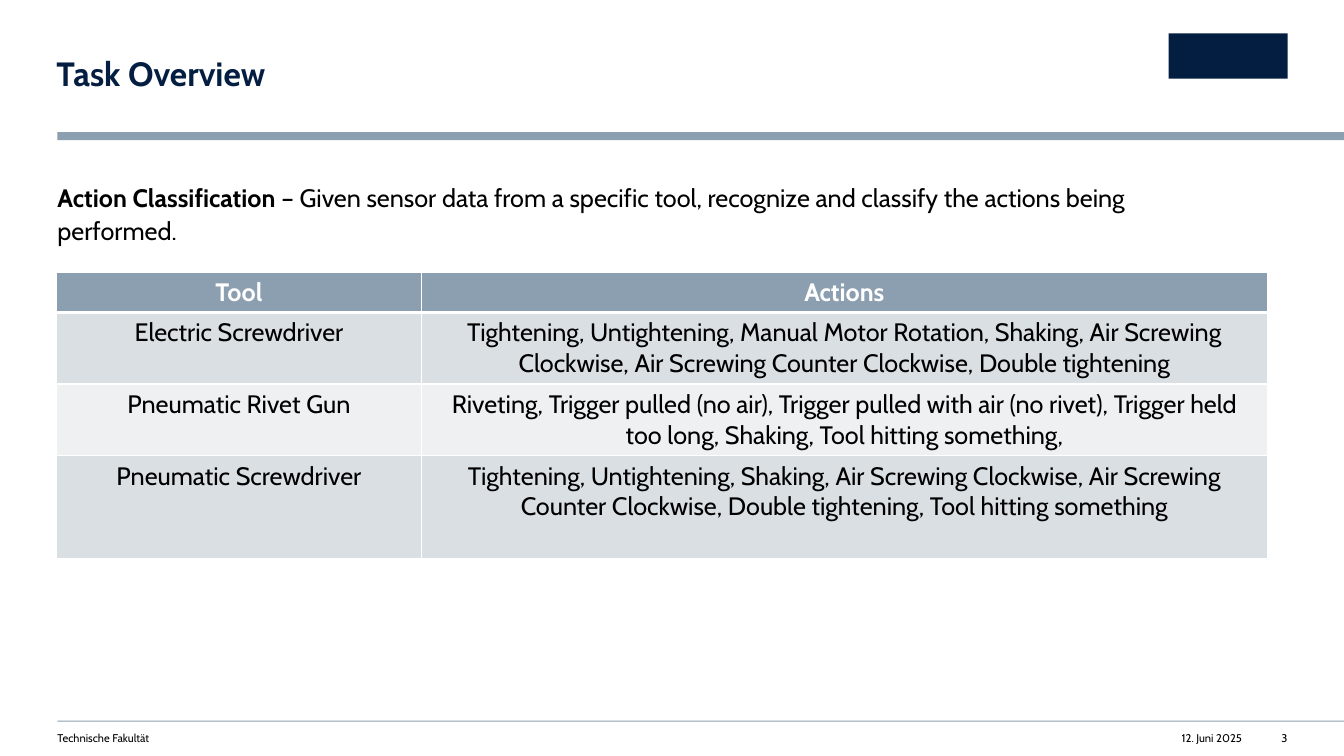
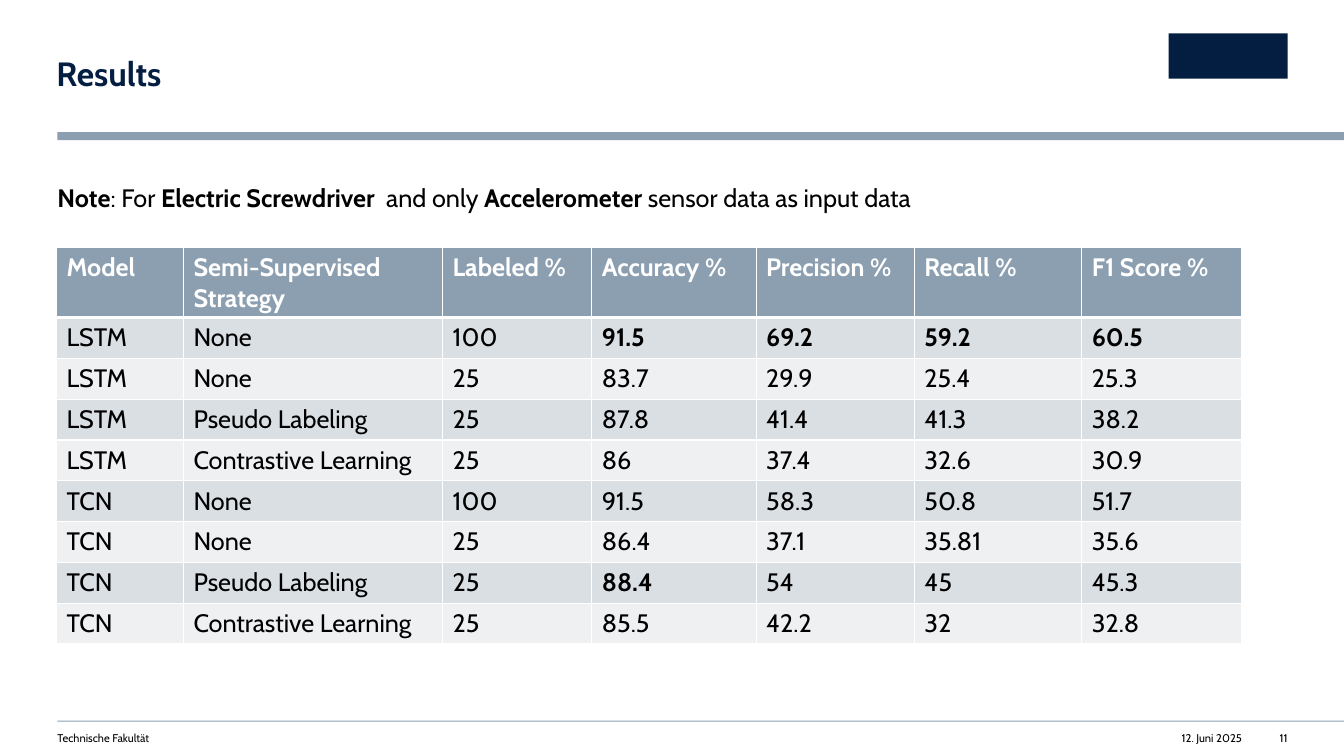
from dataclasses import dataclass

from lxml.etree import SubElement
from pptx import Presentation
from pptx.dml.color import RGBColor as Rgb
from pptx.enum.shapes import MSO_SHAPE as Shape
from pptx.enum.text import PP_ALIGN as Align
from pptx.oxml.ns import qn
from pptx.util import Inches, Pt


@dataclass(frozen=True)
class Theme:
    font: str = "Cabin"
    navy: str = "041E42"
    steel: str = "8C9FB1"
    dark: str = "DADFE4"
    light: str = "EEF0F2"
    black: str = "000000"
    white: str = "FFFFFF"
    title: int = 24
    body: int = 18
    foot: int = 8


theme = Theme()


def write(para, text, size, color, bold=False, align=Align.LEFT):
    para.alignment = align
    font = para.font
    font.name, font.size, font.bold = theme.font, Pt(size), bold
    font.color.rgb = Rgb.from_string(color)
    for i, part in enumerate(text.split("*")):
        if part:
            run = para.add_run()
            run.text = part
            if i % 2:
                run.font.bold = True


def add_text(slide, box, text, size, color, **style):
    frame = slide.shapes.add_textbox(*map(Inches, box)).text_frame
    frame.word_wrap = True
    frame.margin_left = frame.margin_right = 0
    frame.margin_top = frame.margin_bottom = 0
    para = frame.paragraphs[0]
    write(para, text, size, color, **style)
    return para


pages = [
    dict(
        title="Task Overview", number="3",
        intro="*Action Classification *– Given sensor data from a specific tool, "
              "recognize and classify the actions being performed.",
        top=2.7, align=Align.CENTER,
        cols=[3.62, 8.39], heights=[0.4, 0.71, 0.71, 1.02],
        rows=[
            ["Tool", "Actions"],
            ["Electric Screwdriver",
             "Tightening, Untightening, Manual Motor Rotation, Shaking, Air Screwing "
             "Clockwise, Air Screwing Counter Clockwise, Double tightening"],
            ["Pneumatic Rivet Gun",
             "Riveting, Trigger pulled (no air), Trigger pulled with air (no rivet), "
             "Trigger held too long, Shaking, Tool hitting something,"],
            ["Pneumatic Screwdriver",
             "Tightening, Untightening, Shaking, Air Screwing Clockwise, Air Screwing "
             "Counter Clockwise, Double tightening, Tool hitting something"],
        ],
    ),
    dict(
        title="Results", number="11",
        intro="*Note*: For *Electric Screwdriver * and only *Accelerometer* "
              "sensor data as input data",
        top=2.45, align=Align.LEFT,
        cols=[1.26, 2.57, 1.48, 1.63, 1.57, 1.66, 1.59],
        heights=[0.7] + [0.405] * 8,
        rows=[
            ["Model", "Semi-Supervised Strategy", "Labeled %", "Accuracy %",
             "Precision %", "Recall %", "F1 Score %"],
            ["LSTM", "None", "100", "*91.5*", "*69.2*", "*59.2*", "*60.5*"],
            ["LSTM", "None", "25", "83.7", "29.9", "25.4", "25.3"],
            ["LSTM", "Pseudo Labeling", "25", "87.8", "41.4", "41.3", "38.2"],
            ["LSTM", "Contrastive Learning", "25", "86", "37.4", "32.6", "30.9"],
            ["TCN", "None", "100", "91.5", "58.3", "50.8", "51.7"],
            ["TCN", "None", "25", "86.4", "37.1", "35.81", "35.6"],
            ["TCN", "Pseudo Labeling", "25", "*88.4*", "54", "45", "45.3"],
            ["TCN", "Contrastive Learning", "25", "85.5", "42.2", "32", "32.8"],
        ],
    ),
]

bars = [
    ((0.57, 1.31, 12.77, 0.08), theme.steel),
    ((0.57, 7.15, 12.77, 0.01), theme.steel),
    ((11.59, 0.33, 1.18, 0.45), theme.navy),
]

deck = Presentation()
deck.slide_width, deck.slide_height = Inches(13.33), Inches(7.5)

for page in pages:
    slide = deck.slides.add_slide(deck.slide_layouts[6])
    for box, color in bars:
        bar = slide.shapes.add_shape(Shape.RECTANGLE, *map(Inches, box))
        bar.shadow.inherit = False
        bar.fill.solid()
        bar.fill.fore_color.rgb = Rgb.from_string(color)
        bar.line.fill.background()

    feet = [
        (0.57, 5.98, "Technische Fakultät", Align.LEFT),
        (11.32, 1, "12. Juni 2025", Align.RIGHT),
        (12.37, 0.4, page["number"], Align.RIGHT),
    ]
    for left, width, text, align in feet:
        add_text(slide, (left, 7.26, width, 0.13), text,
                 theme.foot, theme.black, align=align)

    title = add_text(slide, (0.56, 0.57, 7.49, 0.36), page["title"],
                     theme.title, theme.navy, bold=True)
    title.line_spacing = 0.9
    intro = add_text(slide, (0.57, 1.78, 11.81, 0.7), page["intro"],
                     theme.body, theme.black)
    intro.line_spacing = 1.1

    rows, cols, heights = page["rows"], page["cols"], page["heights"]
    table = slide.shapes.add_table(
        len(rows), len(cols), Inches(0.56), Inches(page["top"]),
        Inches(sum(cols)), Inches(sum(heights))).table
    table.horz_banding = False
    for col, width in zip(table.columns, cols):
        col.width = Inches(width)
    for r, (row, height) in enumerate(zip(rows, heights)):
        table.rows[r].height = Inches(height)
        head = r == 0
        fill = theme.steel if head else theme.dark if r % 2 else theme.light
        edges = {"L": 1, "R": 1, "T": 3 if r == 1 else 1, "B": 3 if head else 1}
        for c, text in enumerate(row):
            cell = table.cell(r, c)
            props = cell._tc.get_or_add_tcPr()
            for side, width in edges.items():
                line = SubElement(props, qn(f"a:ln{side}"), w=str(Pt(width)))
                paint = SubElement(line, qn("a:solidFill"))
                SubElement(paint, qn("a:srgbClr"), val=theme.white)
            cell.fill.solid()
            cell.fill.fore_color.rgb = Rgb.from_string(fill)
            write(cell.text_frame.paragraphs[0], text, theme.body,
                  theme.white if head else theme.black, head, page["align"])

deck.save("out.pptx")
